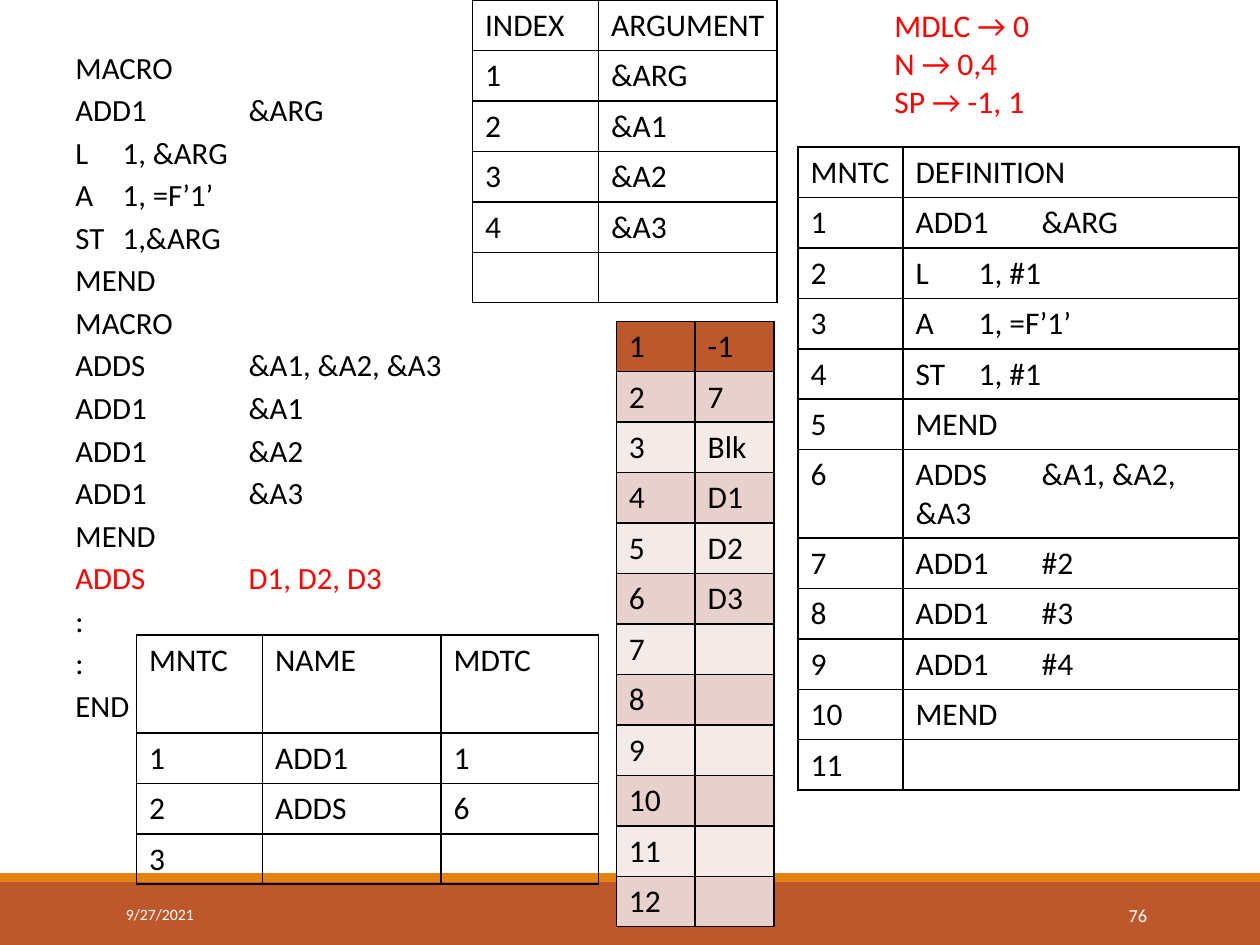
from pptx import Presentation
from pptx.dml.color import RGBColor
from pptx.enum.shapes import MSO_SHAPE
from pptx.enum.text import MSO_ANCHOR, PP_ALIGN
from pptx.oxml.ns import qn
from pptx.util import Pt
from lxml.etree import SubElement

COLORS = {
    "black": "000000", "red": "FF0000", "white": "FFFFFF",
    "rust": "BD582C", "orange": "E48312",
    "band_dark": "E8D1CD", "band_light": "F4EAE8",
}
FONT = "Calibri"
ROW_HEIGHT = 28.8

CODE = [
    "MACRO", "ADD1\t&ARG", "L\t1, &ARG", "A\t1, =F’1’", "ST\t1,&ARG", "MEND",
    "MACRO", "ADDS\t&A1, &A2, &A3", "ADD1\t&A1", "ADD1\t&A2", "ADD1\t&A3", "MEND",
    "ADDS\tD1, D2, D3", ":", ":", "END",
]
MACRO_CALL = "ADDS\tD1, D2, D3"
COUNTERS = ["MDLC → 0", "N → 0,4", "SP → -1, 1"]
ARGUMENTS = [("INDEX", "ARGUMENT"), ("1", "&ARG"), ("2", "&A1"), ("3", "&A2"),
             ("4", "&A3"), ("", "")]
NAMES = [("MNTC", "NAME", "MDTC"), ("1", "ADD1", "1"), ("2", "ADDS", "6"), ("3", "", "")]
DEFINITIONS = ["DEFINITION", "ADD1\t&ARG", "L\t1, #1", "A\t1, =F’1’", "ST\t1, #1", "MEND",
               "ADDS\t&A1, &A2, &A3", "ADD1\t#2", "ADD1\t#3", "ADD1\t#4", "MEND", ""]
DEFINITION_TABS = {1: 54, 2: 20, 3: 19, 4: 25, 6: 49, 7: 72, 8: 74, 9: 72}
STACK = ["-1", "7", "Blk", "D1", "D2", "D3"] + [""] * 6


def rgb(name):
    return RGBColor.from_string(COLORS[name])


def format_runs(para, size, color):
    for span in para.runs:
        span.font.name = FONT
        span.font.size = Pt(size)
        span.font.color.rgb = rgb(color)


def add_bar(page, top, height, color):
    bar = page.shapes.add_shape(MSO_SHAPE.RECTANGLE, 0, Pt(top), Pt(720), Pt(height))
    bar.shadow.inherit = False
    bar.fill.solid()
    bar.fill.fore_color.rgb = rgb(color)
    bar.line.fill.background()


def add_text(page, left, top, width, height, lines, size, color):
    box = page.shapes.add_textbox(Pt(left), Pt(top), Pt(width), Pt(height))
    frame = box.text_frame
    frame.word_wrap = True
    frame.text = "\n".join(lines)
    for para in frame.paragraphs:
        format_runs(para, size, color)
    return frame


def add_code(page):
    frame = add_text(page, 36, 24, 228, 356, CODE, 17.6, "black")
    for number, para in enumerate(frame.paragraphs):
        properties = para._p.get_or_add_pPr()
        properties.set("marL", str(Pt(27)))
        properties.set("indent", str(Pt(-27)))
        properties.set("defTabSz", str(Pt(72)))
        if number:
            para.space_before = Pt(3.2)
        if para.text == MACRO_CALL:
            format_runs(para, 17.6, "red")


def add_footer(page, left, width, text, size, align):
    frame = add_text(page, left, 508.3, width, 28.8, [text], size, "white")
    frame.vertical_anchor = MSO_ANCHOR.MIDDLE
    frame.paragraphs[0].alignment = align


def set_borders(cell):
    properties = cell._tc.get_or_add_tcPr()
    for position, side in enumerate(("lnL", "lnR", "lnT", "lnB")):
        line = properties.makeelement(qn(f"a:{side}"), {"w": str(Pt(1))})
        fill = SubElement(line, qn("a:solidFill"))
        SubElement(fill, qn("a:srgbClr"), val=COLORS["black"])
        properties.insert(position, line)


def set_tab_stop(para, position):
    stops = SubElement(para._p.get_or_add_pPr(), qn("a:tabLst"))
    SubElement(stops, qn("a:tab"), pos=str(Pt(position)), algn="l")


def add_grid(page, left, top, widths, rows, banded=False, red_cells=(), tabs=None):
    """Tabs maps a row number to the tab stop of its last cell."""
    tabs = tabs or {}
    frame = page.shapes.add_table(len(rows), len(widths), Pt(left), Pt(top),
                                  Pt(sum(widths)), Pt(ROW_HEIGHT * len(rows)))
    table = frame.table
    table.first_row = table.horz_banding = False
    for column, width in zip(table.columns, widths):
        column.width = Pt(width)
    for r, row in enumerate(rows):
        table.rows[r].height = Pt(ROW_HEIGHT)
        for c, text in enumerate(row):
            cell = table.cell(r, c)
            para = cell.text_frame.paragraphs[0]
            cell.text_frame.text = text
            if r in tabs and "\t" in text:
                set_tab_stop(para, tabs[r])
            color = "white" if banded and r == 0 else "black"
            format_runs(para, 18, "red" if (r, c) in red_cells else color)
            if banded:
                band = "band_dark" if r % 2 else "band_light"
                cell.fill.solid()
                cell.fill.fore_color.rgb = rgb(band if r else "rust")
            else:
                cell.fill.background()
            set_borders(cell)
    return table


def main():
    deck = Presentation()
    deck.slide_width, deck.slide_height = Pt(720), Pt(540)
    page = deck.slides.add_slide(deck.slide_layouts[6])

    # Footer bars
    add_bar(page, 504, 36, "rust")
    add_bar(page, 499, 5, "orange")

    # Source program and counters
    add_code(page)
    add_text(page, 504, 0, 216, 72.7, COUNTERS, 18, "red")

    # Argument list, name table, definition table and stack
    add_grid(page, 270, 0, [72, 102], ARGUMENTS)
    names = add_grid(page, 78, 362.8, [72, 102, 90], NAMES)
    names.rows[0].height = Pt(56)
    definitions = [(str(n) if n else "MNTC", text) for n, text in enumerate(DEFINITIONS)]
    add_grid(page, 456, 84, [60, 192], definitions,
             red_cells={(7, 0), (7, 1)}, tabs=DEFINITION_TABS)
    stack = [(str(n), text) for n, text in enumerate(STACK, 1)]
    add_grid(page, 352.2, 183.6, [45, 45], stack, banded=True, red_cells={(2, 1)})

    # Page number and date
    add_footer(page, 584.6, 78, "76", 10.5, PP_ALIGN.RIGHT)
    add_footer(page, 64.8, 146, "9/27/2021", 9, PP_ALIGN.LEFT)

    deck.save("out.pptx")


if __name__ == "__main__":
    main()
